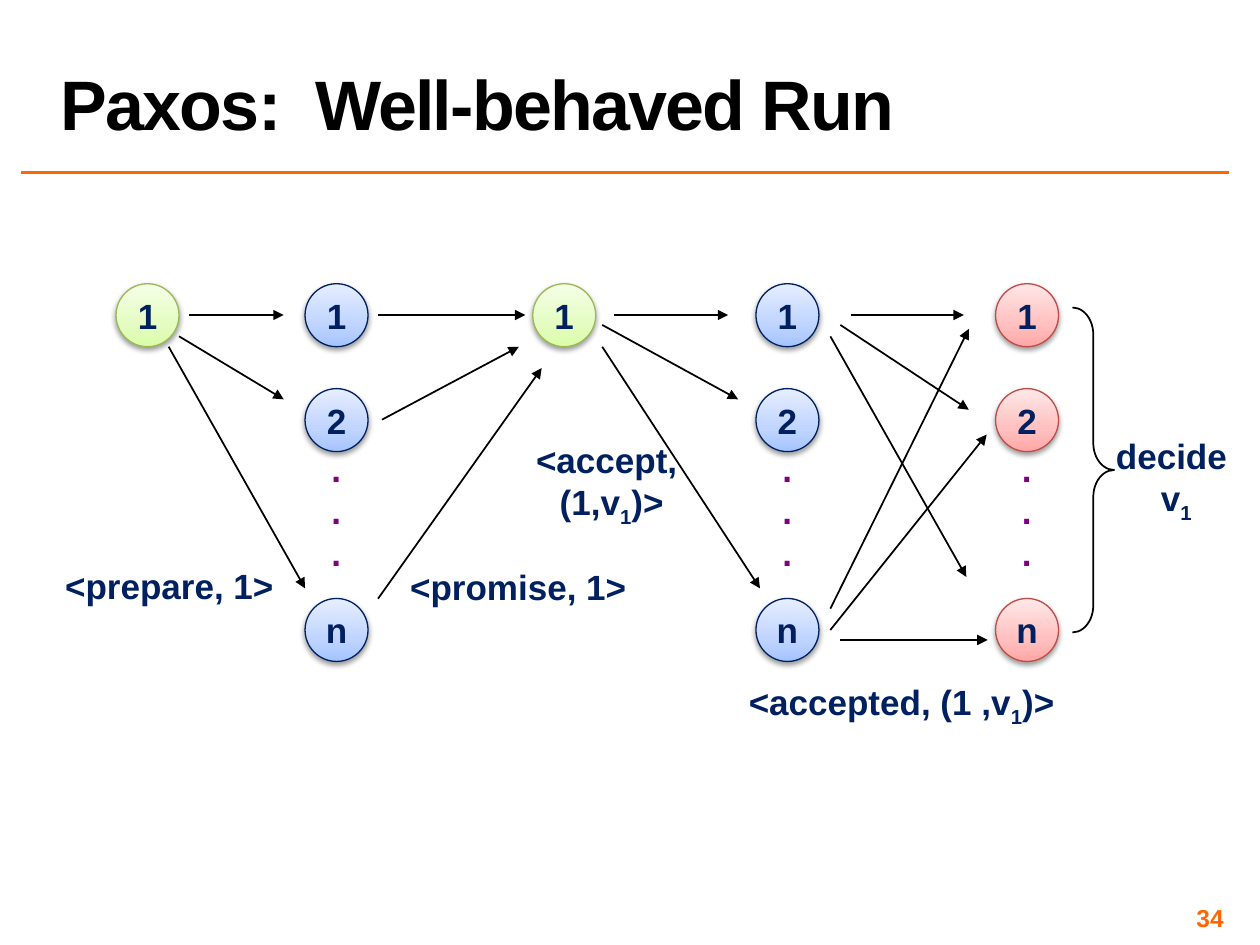
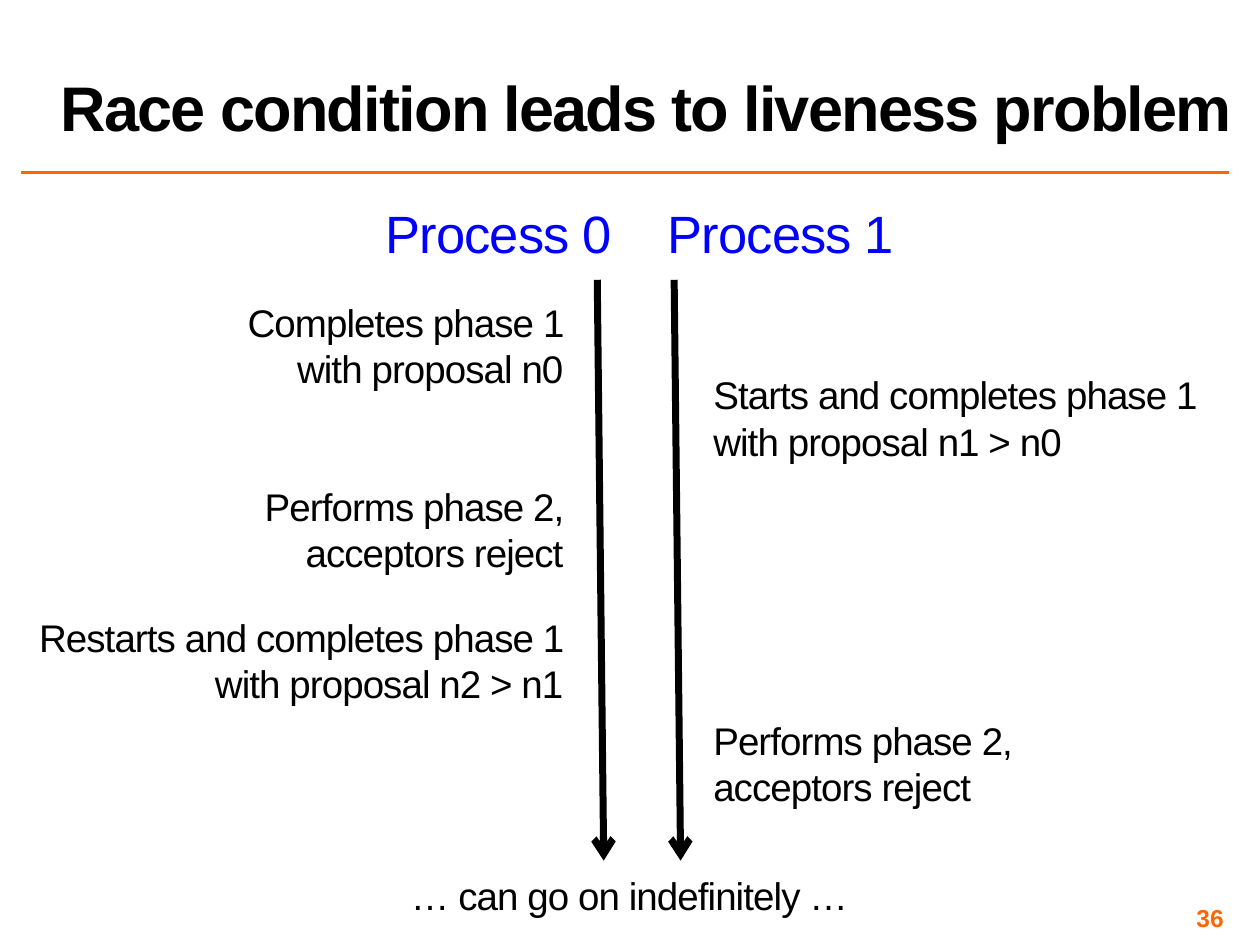
from copy import deepcopy
from dataclasses import dataclass

from pptx import Presentation
from pptx import util as u
from pptx.dml.color import RGBColor
from pptx.enum import shapes, text
from pptx.oxml import parse_xml
from pptx.oxml.ns import nsdecls, qn

Cm, Pt = u.Cm, u.Pt
ALIGN, ANCHOR = text.PP_ALIGN, text.MSO_ANCHOR


@dataclass(frozen=True)
class Style:
    size: float
    color: str
    bold: bool = False
    tracking: float = 0


class Theme:
    font = "Arial"
    accent, ink = "FF6600", "000000"
    title = Style(40, ink, True, -1)
    long_title = Style(36, ink, True, -1)
    page_number = Style(14, accent, True)
    label = Style(20, "002060", True)
    dots = Style(20, "800080", True)
    process = Style(30, "0000FF", tracking=-0.5)
    step = Style(22, ink, tracking=-0.5)
    tight = 0.1
    # outline, then gradient from bottom to top
    green = ("98B955", "DAFDA7", "E4FCC2", "F5FFE7")
    blue = ("002060", "A4C4FF", "BFD4FF", "E6EEFF")
    red = ("BF4C48", "FFA6A5", "FFC0BF", "FFE7E7")
    gradient_stops = (0, 0.35, 1)


# Lengths below are in centimetres; text between underscores is subscript.
NODE_SIZE, NODE_TOP, ROW_PITCH = 1.27, 5.72, 2.115
PROPOSER = {0: "1"}
GROUP = {0: "1", 1: "2", 3: "n"}
NODE_COLUMNS = [
    (2.34, Theme.green, PROPOSER),
    (6.15, Theme.blue, GROUP),
    (10.74, Theme.green, PROPOSER),
    (15.24, Theme.blue, GROUP),
    (20.07, Theme.red, GROUP),
]
MESSAGES = {
    "prepare": [(3.81, 6.35, 5.72, 6.35), (3.61, 6.78, 5.72, 8.05),
                (3.4, 6.99, 6.15, 11.86)],
    "promise": [(7.62, 6.35, 10.59, 6.35), (7.7, 8.46, 10.46, 6.99),
                (7.62, 12.07, 10.92, 7.42)],
    "accept": [(12.37, 6.35, 14.68, 6.35), (12.14, 6.55, 14.88, 8.05),
               (12.14, 6.99, 15.32, 11.86)],
    "accepted": [(17.15, 6.35, 19.43, 6.35), (16.94, 6.55, 19.53, 8.26),
                 (16.74, 6.78, 19.48, 11.63), (16.74, 12.27, 19.53, 6.63),
                 (16.74, 12.7, 19.89, 8.76), (16.94, 12.9, 19.91, 12.9)],
}
MESSAGE_LABELS = [
    (["<prepare, 1>"], (1.04, 11.25, 4.75, 1.12)),
    (["<promise, 1>"], (8, 11.28, 4.9, 1.12)),
    (["<accept, ", "(1,v_1_)>"], (10.54, 8.71, 3.58, 1.96)),
    (["<accepted, (1 ,v_1_)>"], (14.81, 13.59, 6.73, 1.12)),
    (["decide ", "v_1_"], (21.72, 8.64, 3.99, 1.96)),
]
DECISION_BRACE = (21.62, 6.2, 0.84, 6.55)

TIMELINE_TOP, TIMELINE_BOTTOM, TIMELINE_DRIFT = 5.64, 17.35, 0.13
PROCESSES = [("Process 0", 6.45, 12.04), ("Process 1", 12.14, 13.59)]
LEFT_EDGE, RIGHT_EDGE = 11.46, 14.28
FIRST_STEP = ("Completes phase 1 with proposal n0", 5.92, 7.21, 3.35)
LEFT_STEPS = [
    ("Performs phase 2, acceptors reject", 9.63, 7.54, 2.36),
    ("Restarts and completes phase 1 with proposal n2 > n1", 12.27, 10.85, 2.62),
]
RIGHT_STEPS = [
    ("Starts and completes phase 1 with proposal n1 > n0", 7.39, 10.06, 3.3),
    ("Performs phase 2, acceptors reject", 14.35, 8.59, 2.39),
]


def rgb(color):
    return RGBColor.from_string(color)


def place(shape, area):
    shape.left, shape.top, shape.width, shape.height = map(Cm, area)


def write(shape, lines, style, align=ALIGN.LEFT, anchor=ANCHOR.TOP,
          inset=None, wrap=True):
    frame = shape.text_frame
    frame.word_wrap, frame.vertical_anchor = wrap, anchor
    frame.auto_size = text.MSO_AUTO_SIZE.NONE
    if inset is not None:
        frame.margin_left = frame.margin_right = Cm(inset)
        frame.margin_top = frame.margin_bottom = Cm(inset)
    for index, line in enumerate(lines):
        para = frame.paragraphs[0] if index == 0 else frame.add_paragraph()
        para.alignment = align
        for part, words in enumerate(line.split("_")):
            if not words:
                continue
            span = para.add_run()
            span.text = words
            font = span.font
            font.name, font.size, font.bold = Theme.font, Pt(style.size), style.bold
            font.color.rgb = rgb(style.color)
            props = span._r.get_or_add_rPr()
            if style.tracking:
                props.set("spc", str(int(style.tracking * 100)))
            if part % 2:
                props.set("baseline", "-25000")


def add_text(page, lines, area, style, **layout):
    box = page.shapes.add_textbox(*map(Cm, area))
    write(box, lines, style, **layout)


def add_line(page, ends, color, width, head=None):
    line = page.shapes.add_connector(shapes.MSO_CONNECTOR.STRAIGHT, *map(Cm, ends))
    line.line.color.rgb, line.line.width = rgb(color), Pt(width)
    if head:
        line.line._get_or_add_ln().append(
            parse_xml(f'<a:tailEnd {nsdecls("a")} type="{head}"/>'))
    line._element.spPr.append(parse_xml(f'<a:effectLst {nsdecls("a")}/>'))


def add_page(deck, layout, title, style, title_width, number):
    """Add a slide with the shared title, rule and page number."""
    page = deck.slides.add_slide(deck.slide_layouts[layout])
    place(page.shapes.title, (0.97, 0.05, title_width, 2.97))
    write(page.shapes.title, [title], style, anchor=ANCHOR.BOTTOM)
    page.shapes.title.text_frame.paragraphs[0].line_spacing = 0.8
    add_line(page, (0.43, 3.48, 24.77, 3.48), Theme.accent, 2)
    add_text(page, [number], (18.85, 18.21, 5.92, 0.58), Theme.page_number,
             align=ALIGN.RIGHT, anchor=ANCHOR.MIDDLE, inset=Theme.tight)
    return page


def add_node(page, name, left, top, colors):
    outline, *gradient = colors
    node = page.shapes.add_shape(shapes.MSO_SHAPE.OVAL,
                                 *map(Cm, (left, top, NODE_SIZE, NODE_SIZE)))
    node.line.color.rgb, node.line.width = rgb(outline), Pt(0.75)
    node.fill.gradient()
    node.fill.gradient_angle = 90
    stop_list = node._element.spPr.find(".//" + qn("a:gsLst"))
    stop_list.append(deepcopy(stop_list[-1]))
    for stop, position, color in zip(node.fill.gradient_stops,
                                     Theme.gradient_stops, gradient):
        stop.position, stop.color.rgb = position, rgb(color)
    node.shadow.inherit = False
    node._element.spPr.find(qn("a:effectLst")).append(parse_xml(
        f'<a:outerShdw {nsdecls("a")} blurRad="{Pt(3.1)}" dist="{Pt(1.6)}" '
        'dir="5400000" rotWithShape="0"><a:srgbClr val="000000">'
        '<a:alpha val="38000"/></a:srgbClr></a:outerShdw>'))
    write(node, [name], Theme.label, ALIGN.CENTER, ANCHOR.MIDDLE, wrap=False)


def build_run_page(deck):
    page = add_page(deck, 5, "Paxos:  Well-behaved Run", Theme.title, 23.8, "34")
    for arrows in MESSAGES.values():
        for ends in arrows:
            add_line(page, ends, Theme.ink, 1, "triangle")
    for left, colors, members in NODE_COLUMNS:
        for row, name in members.items():
            add_node(page, name, left, NODE_TOP + row * ROW_PITCH, colors)
        if members is GROUP:
            add_text(page, [".", ".", "."], (left + 0.21, 8.89, 0.84, 2.79),
                     Theme.dots, align=ALIGN.CENTER)
    brace = page.shapes.add_shape(shapes.MSO_SHAPE.RIGHT_BRACE,
                                  *map(Cm, DECISION_BRACE))
    brace.adjustments[0] = 0.65
    brace.fill.background()
    brace.line.color.rgb, brace.line.width = rgb(Theme.ink), Pt(1)
    brace.shadow.inherit = False
    for lines, area in MESSAGE_LABELS:
        add_text(page, lines, area, Theme.label, align=ALIGN.CENTER, wrap=False)


def build_race_page(deck):
    page = add_page(deck, 1, "Race condition leads to liveness problem",
                    Theme.long_title, 24.43, "36")
    words, top, width, height = FIRST_STEP
    body = page.placeholders[1]
    place(body, (LEFT_EDGE - width, top, width, height))
    write(body, [words], Theme.step, ALIGN.RIGHT, inset=Theme.tight)
    props = body.text_frame.paragraphs[0]._p.get_or_add_pPr()
    props.set("marL", "0")
    props.set("indent", "0")
    props.append(parse_xml(f'<a:buNone {nsdecls("a")}/>'))

    for name, left, start in PROCESSES:
        add_text(page, [name], (left, 3.96, 7.21, 1.63), Theme.process,
                 align=ALIGN.CENTER, inset=Theme.tight)
        add_line(page, (start, TIMELINE_TOP, start + TIMELINE_DRIFT,
                        TIMELINE_BOTTOM), Theme.ink, 4, "arrow")
    for words, top, width, height in LEFT_STEPS:
        add_text(page, [words], (LEFT_EDGE - width, top, width, height),
                 Theme.step, align=ALIGN.RIGHT, inset=Theme.tight)
    for words, top, width, height in RIGHT_STEPS:
        add_text(page, [words], (RIGHT_EDGE, top, width, height),
                 Theme.step, inset=Theme.tight)
    add_text(page, ["… can go on indefinitely …"], (7.24, 17.48, 10.9, 1.14),
             Theme.step, align=ALIGN.CENTER, inset=Theme.tight)


def main():
    deck = Presentation()
    deck.slide_width, deck.slide_height = Cm(25.4), Cm(19.05)
    build_run_page(deck)
    build_race_page(deck)
    deck.save("out.pptx")


if __name__ == "__main__":
    main()
